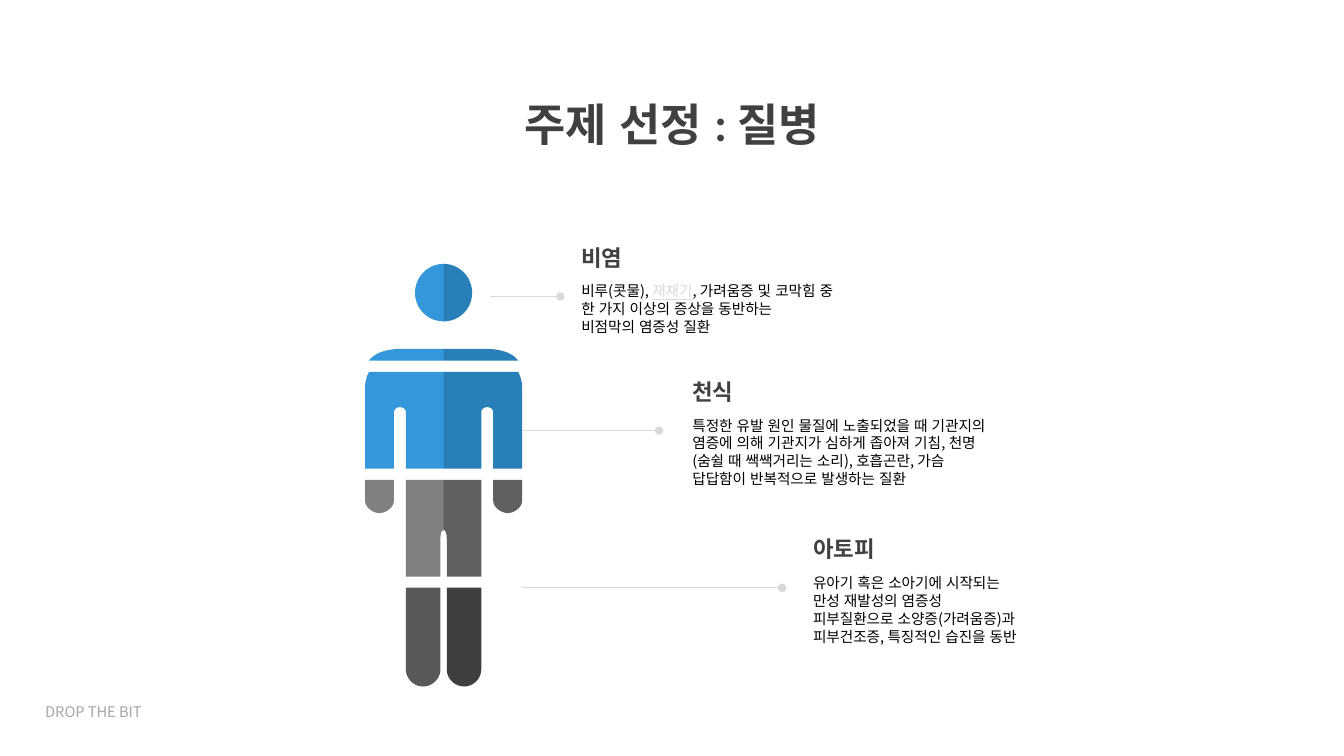
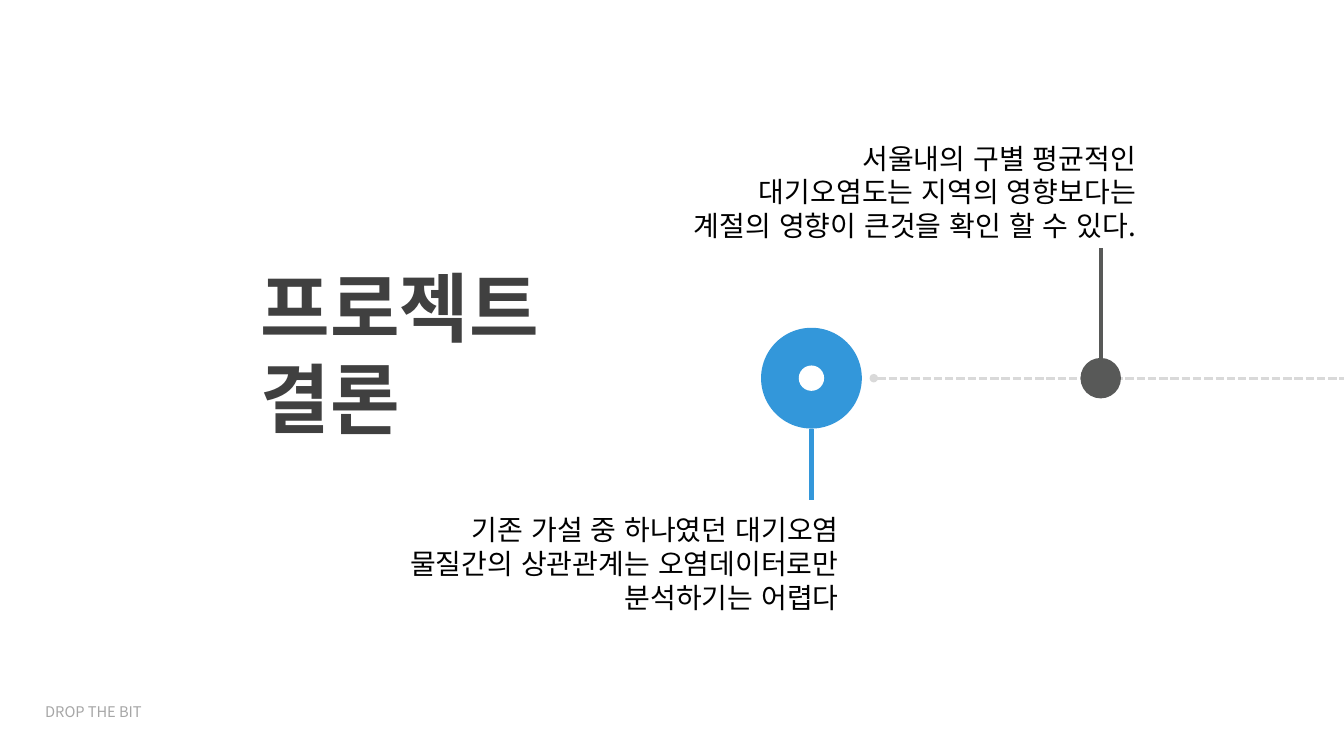
from lxml.etree import SubElement
from pptx import Presentation
from pptx.dml.color import RGBColor
from pptx.enum.dml import MSO_LINE as Dash
from pptx.enum.lang import MSO_LANGUAGE_ID as Lang
from pptx.enum.shapes import MSO_CONNECTOR as Connector, MSO_SHAPE as Shape
from pptx.enum.text import MSO_ANCHOR as Anchor, MSO_AUTO_SIZE as AutoSize, PP_ALIGN as Align
from pptx.oxml.ns import qn
from pptx.util import Cm, Pt

COLORS = {
    "heading": "404040", "body": "000000", "faint": "D8D9D8", "footer": "A6A6A6",
    "leader": "D9D9D9", "blue": "3397DA", "deep_blue": "297FB8", "gray": "808080",
    "dark_gray": "606060", "shin": "595959", "dark_shin": "3F3F3F",
    "milestone": "585958", "white": "FFFFFF",
}
KOREAN = "Noto Sans CJK KR"
STYLES = {
    "topic": dict(name="Lato", size=Pt(32), bold=True, color="heading"),
    "conclusion": dict(name=KOREAN, size=Pt(54), bold=True, color="heading"),
    "disease": dict(name=KOREAN, size=Pt(16), bold=True, color="heading"),
    "symptoms": dict(name=KOREAN, size=Pt(10.5), color="body"),
    "keyword": dict(name=KOREAN, size=Pt(10.5), color="faint", underline=True),
    "finding": dict(name=KOREAN, size=Pt(20), color="body"),
    "footer": dict(name=KOREAN, size=Pt(10.5), color="footer"),
}

FOOTER = "DROP THE BIT"
TOPIC = ["주제 선정 : 질병"]
CONCLUSION = ["프로젝트", "결론"]

DISEASES = [
    dict(name="비염", left=14.4, top=6.02, width=10.77, leader=(12.34, 14.12), text=[
        [("비루(콧물), ", "symptoms"), ("재채기", "keyword"),
         (", 가려움증 및 코막힘 중", "symptoms")],
        "한 가지 이상의 증상을 동반하는",
        "비점막의 염증성 질환"]),
    dict(name="천식", left=17.2, top=9.4, width=7.95, leader=(13.16, 16.61), text=[
        "특정한 유발 원인 물질에 노출되었을 때 기관지의 염증에 의해 기관지가 심하게 "
        "좁아져 기침, 천명 (숨쉴 때 쌕쌕거리는 소리), 호흡곤란, 가슴 답답함이 "
        "반복적으로 발생하는 질환"]),
    dict(name="아토피", left=20.24, top=13.36, width=5.79, leader=(13.16, 19.71), text=[
        "유아기 혹은 소아기에 시작되는 만성 재발성의 염증성 피부질환으로 "
        "소양증(가려움증)과 피부건조증, 특징적인 습진을 동반"]),
]

BODY_AXIS = 11.18
SEAM = 0.02
BODY_PARTS = [
    ("blue", "deep_blue", [
        (0, 6.65), (0.4, 6.65, 0.72, 6.98, 0.72, 7.38), (0.72, 7.78, 0.4, 8.1, 0, 8.1)]),
    ("blue", "deep_blue", [
        (0, 8.79), (1.02, 8.79), (1.38, 8.79, 1.73, 8.87, 1.88, 9.09), (0, 9.09)]),
    ("blue", "deep_blue", [
        (0, 9.37), (1.88, 9.37), (1.93, 9.47, 1.98, 9.6, 1.98, 9.78), (1.98, 11.81),
        (1.25, 11.81), (1.25, 10.39), (1.25, 10.31, 1.18, 10.26, 1.1, 10.26),
        (1.02, 10.26, 0.95, 10.31, 0.95, 10.39), (0.95, 11.81), (0, 11.81)]),
    ("gray", "dark_gray", [
        (1.25, 12.09), (1.98, 12.09), (1.98, 12.62), (1.98, 12.78, 1.78, 12.93, 1.62, 12.93),
        (1.45, 12.93, 1.25, 12.78, 1.25, 12.62)]),
    ("gray", "dark_gray", [
        (0, 12.09), (0.95, 12.09), (0.95, 14.53), (0.08, 14.53), (0.08, 13.59),
        (0.08, 13.44, 0.05, 13.36, 0, 13.36)]),
    ("shin", "dark_shin", [
        (0.08, 14.81), (0.95, 14.81), (0.95, 16.87), (0.95, 17.1, 0.75, 17.3, 0.52, 17.3),
        (0.28, 17.3, 0.08, 17.1, 0.08, 16.87)]),
]

TIMELINE_Y = 9.53
FINDINGS = [
    dict(x=20.45, radius=1.27, color="blue", stem_end=12.6, right=21.39, top=12.8,
         text=["기존 가설 중 하나였던 대기오염", "물질간의 상관관계는 오염데이터로만",
               "분석하기는 어렵다"]),
    dict(x=27.74, radius=0.51, color="milestone", stem_end=6.25, right=28.88, top=3.43,
         text=["서울내의 구별 평균적인", "대기오염도는 지역의 영향보다는",
               "계절의 영향이 큰것을 확인 할 수 있다."]),
]
FINDING_WIDTH, FINDING_HEIGHT = 13, 2.82


def rgb(color):
    return RGBColor.from_string(COLORS[color])


def style_run(run, style):
    for key, value in STYLES[style].items():
        if key == "color":
            run.font.color.rgb = rgb(value)
        else:
            setattr(run.font, key, value)
    run.font.language_id = Lang.KOREAN
    east_asian = SubElement(run.font._element, qn("a:ea"))
    east_asian.set("typeface", KOREAN)


def write(frame, paragraphs, style, align=Align.LEFT, spacing=None):
    settings = dict(word_wrap=True, auto_size=AutoSize.NONE, vertical_anchor=Anchor.TOP)
    for key, value in settings.items():
        setattr(frame, key, value)
    for index, content in enumerate(paragraphs):
        paragraph = frame.add_paragraph() if index else frame.paragraphs[0]
        for key, value in dict(alignment=align, line_spacing=spacing, space_before=Pt(0)).items():
            setattr(paragraph, key, value)
        runs = [(content, style)] if isinstance(content, str) else content
        for text, run_style in runs:
            run = paragraph.add_run()
            run.text = text
            style_run(run, run_style)


def add_text(slide, box, paragraphs, style, **layout):
    write(slide.shapes.add_textbox(*map(Cm, box)).text_frame, paragraphs, style, **layout)


def new_slide(deck, title, box, style, align):
    slide = deck.slides.add_slide(deck.slide_layouts[5])
    heading = slide.shapes.title
    for side, length in zip(("left", "top", "width", "height"), box):
        setattr(heading, side, Cm(length))
    write(heading.text_frame, title, style, align)
    add_text(slide, (0.89, 17.58, 4.04, 0.71), [FOOTER], "footer")
    return slide


def paint(shape, color):
    shape.shadow.inherit = False
    shape.fill.solid()
    shape.fill.fore_color.rgb = rgb(color)
    shape.line.fill.background()


def add_circle(slide, x, y, radius, color):
    box = (x - radius, y - radius, 2 * radius, 2 * radius)
    paint(slide.shapes.add_shape(Shape.OVAL, *map(Cm, box)), color)


def add_line(slide, start, end, color, width, dot=None, dash=None):
    line = slide.shapes.add_connector(Connector.STRAIGHT, *map(Cm, start + end))
    line.line.color.rgb = rgb(color)
    line.line.width = Pt(width)
    if dash:
        line.line.dash_style = dash
    if dot:
        SubElement(line.line._get_or_add_ln(), qn(f"a:{dot}")).set("type", "oval")
    SubElement(line._element.spPr, qn("a:effectLst"))


def flatten(outline, steps=12):
    points = []
    for segment in outline:
        if len(segment) == 2:
            points.append(segment)
            continue
        controls = [points[-1], segment[:2], segment[2:4], segment[4:]]
        for step in range(1, steps + 1):
            t = step / steps
            weights = ((1 - t) ** 3, 3 * t * (1 - t) ** 2, 3 * t * t * (1 - t), t ** 3)
            points.append(tuple(sum(w * c[axis] for w, c in zip(weights, controls))
                                for axis in (0, 1)))
    return points


def add_body_half(slide, outline, side, color):
    overlap = SEAM if side < 0 else 0
    points = [(Cm(BODY_AXIS + side * (dx or -overlap)), Cm(y)) for dx, y in flatten(outline)]
    builder = slide.shapes.build_freeform(*points[0], scale=1.0)
    builder.add_line_segments(points[1:], close=True)
    paint(builder.convert_to_shape(), color)


def build_diseases(deck):
    slide = new_slide(deck, TOPIC, (11.96, 2.31, 9.96, 1.63), "topic", Align.CENTER)
    for light, dark, outline in BODY_PARTS:
        for side, color in ((-1, light), (1, dark)):
            add_body_half(slide, outline, side, color)
    for disease in DISEASES:
        left, top = disease["left"], disease["top"]
        add_text(slide, (left, top, 5, 0.94), [disease["name"]], "disease")
        add_text(slide, (left, top + 0.96, disease["width"], 2.5), disease["text"],
                 "symptoms", spacing=Pt(12.8))
        start, end = disease["leader"]
        y = top + 1.45
        add_line(slide, (start, y), (end, y), "leader", 0.5, dot="tailEnd")


def build_conclusion(deck):
    slide = new_slide(deck, CONCLUSION, (6.32, 6.45, 11.35, 4.88), "conclusion", Align.LEFT)
    add_line(slide, (22.02, TIMELINE_Y), (33.87, TIMELINE_Y), "leader", 2,
             dot="headEnd", dash=Dash.SQUARE_DOT)
    for finding in FINDINGS:
        x, radius, end = finding["x"], finding["radius"], finding["stem_end"]
        direction = 1 if end > TIMELINE_Y else -1
        add_circle(slide, x, TIMELINE_Y, radius, finding["color"])
        add_line(slide, (x, TIMELINE_Y + direction * radius), (x, end), finding["color"], 3)
        add_text(slide, (finding["right"] - FINDING_WIDTH, finding["top"],
                         FINDING_WIDTH, FINDING_HEIGHT),
                 finding["text"], "finding", align=Align.RIGHT)
    add_circle(slide, FINDINGS[0]["x"], TIMELINE_Y, 0.32, "white")


def main():
    deck = Presentation()
    deck.slide_width, deck.slide_height = Cm(33.87), Cm(19.05)
    build_diseases(deck)
    build_conclusion(deck)
    deck.save("out.pptx")


if __name__ == "__main__":
    main()
